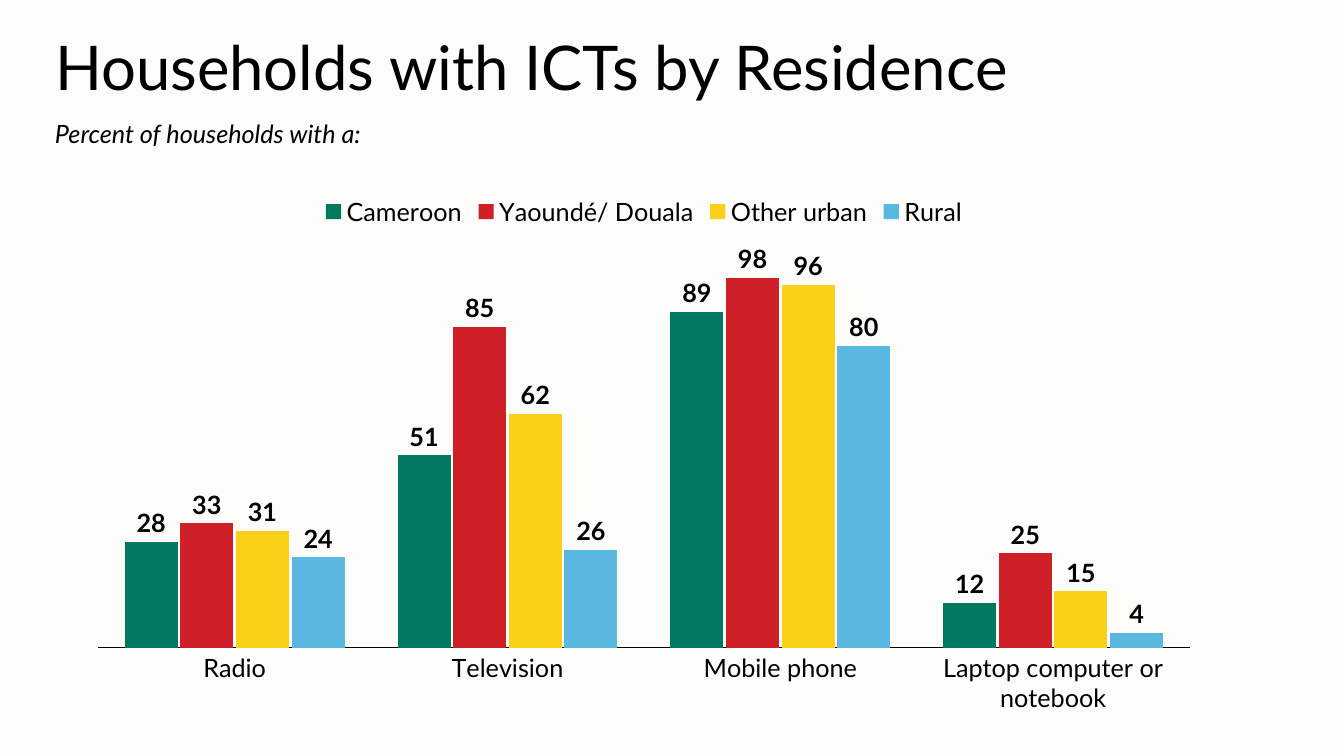
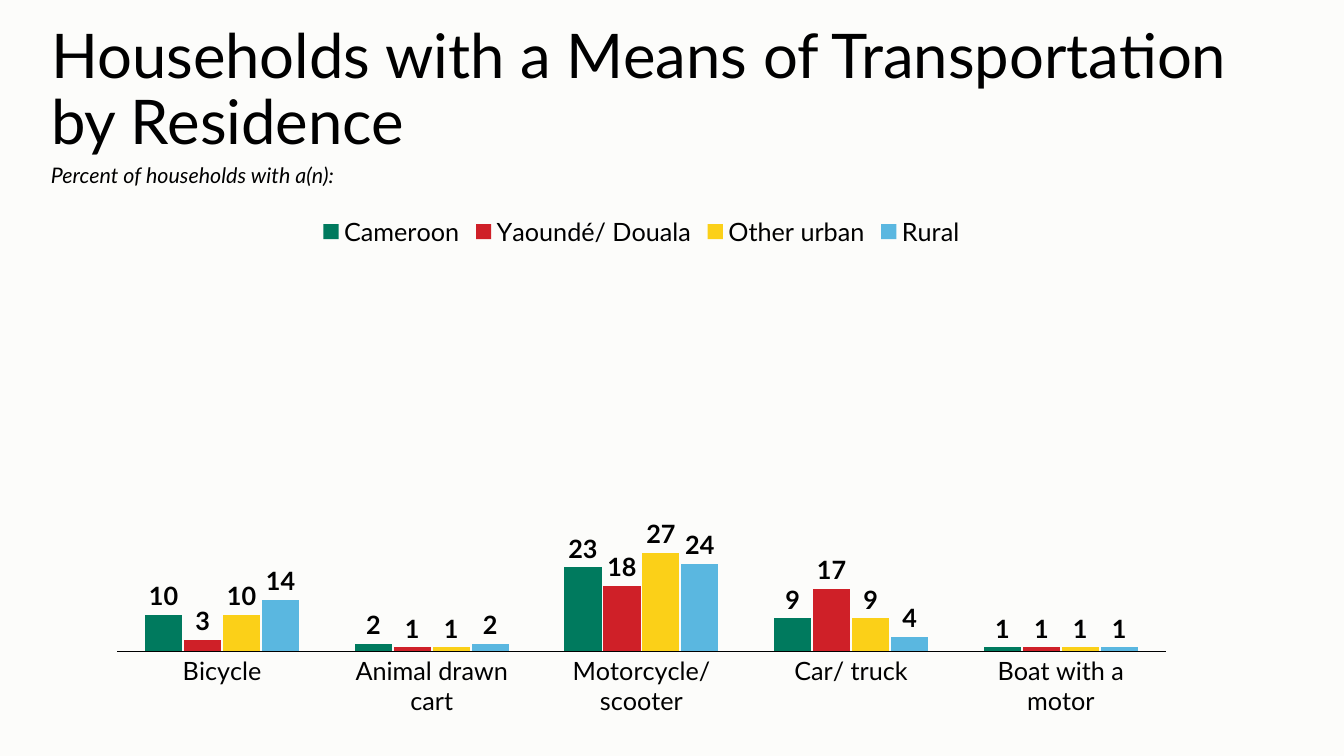
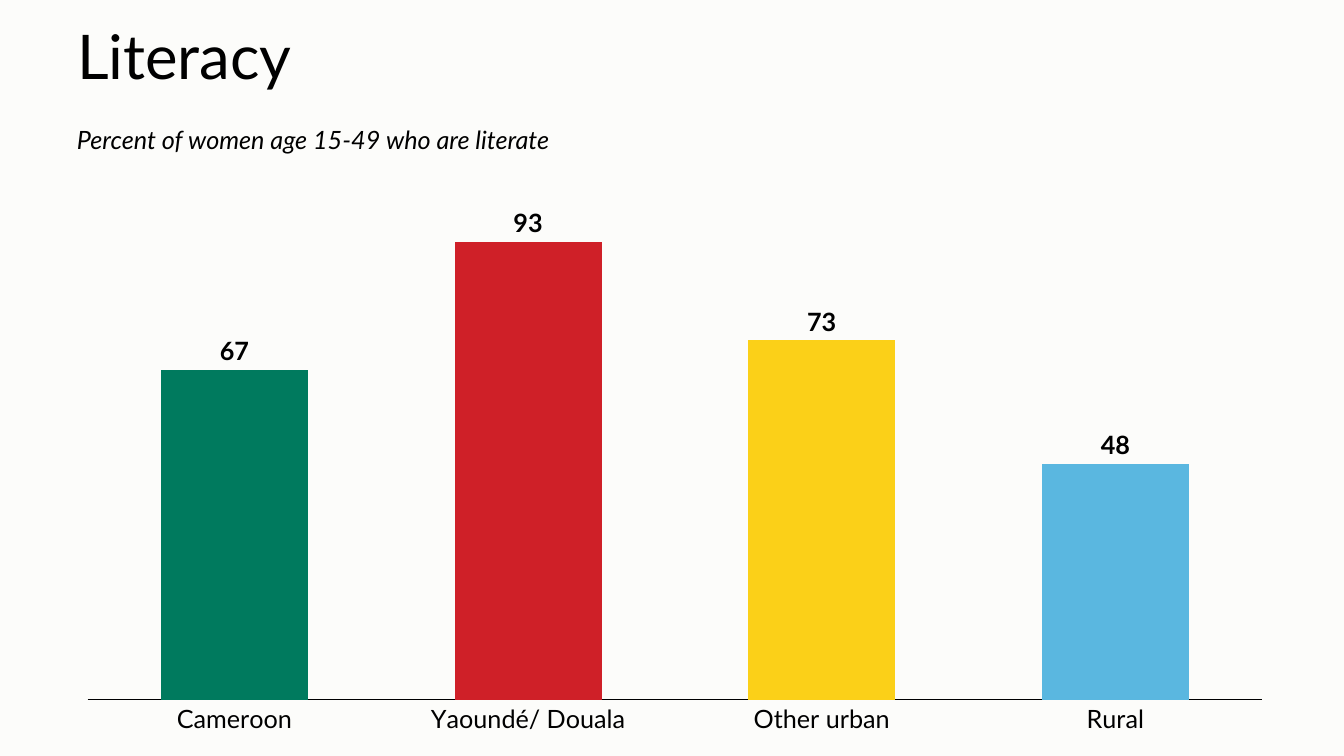
from dataclasses import dataclass

from lxml import etree
from pptx import Presentation
from pptx.chart.data import CategoryChartData
from pptx.dml.color import RGBColor
from pptx.enum.chart import XL_CHART_TYPE, XL_LABEL_POSITION, XL_LEGEND_POSITION, XL_TICK_MARK
from pptx.enum.text import MSO_ANCHOR, MSO_AUTO_SIZE, PP_ALIGN
from pptx.oxml.ns import qn
from pptx.util import Emu, Pt

COLUMN = XL_CHART_TYPE.COLUMN_CLUSTERED
OUTSIDE_END = XL_LABEL_POSITION.OUTSIDE_END
LEGEND_TOP = XL_LEGEND_POSITION.TOP
NO_TICK = XL_TICK_MARK.NONE
MIDDLE, TOP = MSO_ANCHOR.MIDDLE, MSO_ANCHOR.TOP
NO_FIT = MSO_AUTO_SIZE.NONE
LEFT = PP_ALIGN.LEFT

EMU_PER_PX = 914400 / 100.8
TITLE_ONLY = 5


@dataclass(frozen=True)
class Theme:
    font: str = "Lato"
    ink: str = "000000"
    paper: str = "FCFCFA"
    residence: tuple = ("007A5E", "CF2028", "FBD018", "5AB7E0")
    title: float = 44
    body: float = 18
    small: float = 15.3
    axis_line: float = 0.75


THEME = Theme()
RESIDENCE = ("Cameroon", "Yaoundé/ Douala", "Other urban", "Rural")
GROUPED_PLOT = (0.023, 0.162, 0.954, 0.712)
SINGLE_PLOT = (0.017, 0.053, 0.966, 0.85)


def px(n):
    return Emu(round(n * EMU_PER_PX))


def rgb(color):
    return RGBColor.from_string(color)


def set_attrs(obj, **values):
    for name, value in values.items():
        setattr(obj, name, value)


def set_font(font, size, **values):
    set_attrs(font, name=THEME.font, size=Pt(size), **values)
    font.color.rgb = rgb(THEME.ink)


def fill(fmt, color):
    fmt.fill.solid()
    fmt.fill.fore_color.rgb = rgb(color)


def write(sp, text, size, anchor, spacing, **font):
    tf = sp.text_frame
    set_attrs(tf, word_wrap=True, auto_size=NO_FIT, vertical_anchor=anchor)
    p = tf.paragraphs[0]
    set_attrs(p, alignment=LEFT, line_spacing=spacing)
    r = p.add_run()
    r.text = text
    set_font(r.font, size, **font)


def add_title(s, box, text):
    sp = s.shapes.title
    set_attrs(sp, **dict(zip(("left", "top", "width", "height"), map(px, box))))
    write(sp, text, THEME.title, MIDDLE, 0.9)


def add_subtitle(s, box, text, size=THEME.body, spacing=0.9):
    sp = s.shapes.add_textbox(*map(px, box))
    write(sp, text, size, TOP, spacing, italic=True)


def place_plot(chart, plot_box):
    area = chart.element.xpath(".//c:plotArea")[0]
    for old in area.findall(qn("c:layout")):
        area.remove(old)
    layout = etree.Element(qn("c:layout"))
    manual = etree.SubElement(layout, qn("c:manualLayout"))
    values = dict(layoutTarget="inner", xMode="edge", yMode="edge")
    values.update(zip("xywh", plot_box))
    for tag, value in values.items():
        etree.SubElement(manual, qn("c:" + tag)).set("val", str(value))
    area.insert(0, layout)


def add_columns(s, box, categories, series, plot_box, gap=100, overlap=0):
    data = CategoryChartData(number_format="0")
    data.categories = categories
    for name, values in series:
        data.add_series(name, values)
    chart = s.shapes.add_chart(COLUMN, *map(px, box), data).chart
    grouped = len(series) > 1
    set_attrs(chart, has_title=False, has_legend=grouped)
    set_font(chart.font, THEME.body)
    if grouped:
        set_attrs(chart.legend, position=LEGEND_TOP, include_in_layout=False)
        set_font(chart.legend.font, THEME.body)

    axis = chart.category_axis
    set_attrs(axis, major_tick_mark=NO_TICK, minor_tick_mark=NO_TICK)
    set_font(axis.tick_labels.font, THEME.body)
    line = axis.format.line
    line.color.rgb = rgb(THEME.ink)
    line.width = Pt(THEME.axis_line)
    set_attrs(chart.value_axis, visible=False, has_major_gridlines=False,
              minimum_scale=0, maximum_scale=100)

    plot = chart.plots[0]
    set_attrs(plot, gap_width=gap, overlap=overlap, vary_by_categories=False,
              has_data_labels=True)
    set_attrs(plot.data_labels, show_value=True, position=OUTSIDE_END)
    set_font(plot.data_labels.font, THEME.body, bold=True)
    for i, color in enumerate(THEME.residence):
        bars = plot.series[i] if grouped else plot.series[0].points[i]
        fill(bars.format, color)
    place_plot(chart, plot_box)


def new_slide(prs):
    return prs.slides.add_slide(prs.slide_layouts[TITLE_ONLY])


def ict_slide(prs):
    s = new_slide(prs)
    add_title(s, (45, 14, 1253, 114), "Households with ICTs by Residence")
    add_subtitle(s, (45, 117, 869, 46), "Percent of households with a:")
    values = ((28, 51, 89, 12), (33, 85, 98, 25), (31, 62, 96, 15), (24, 26, 80, 4))
    add_columns(s, (72, 184, 1144, 531),
                ("Radio", "Television", "Mobile phone", "Laptop computer or notebook"),
                tuple(zip(RESIDENCE, values)), GROUPED_PLOT, overlap=-5)


def transport_slide(prs):
    s = new_slide(prs)
    add_title(s, (41, 40, 1197, 103), "Households with a Means of Transportation by Residence")
    add_subtitle(s, (41, 164, 884, 30), "Percent of households with a(n):", THEME.small, 0.7)
    values = ((10, 2, 23, 9, 1), (3, 1, 18, 17, 1), (10, 1, 27, 9, 1), (14, 2, 24, 4, 1))
    add_columns(s, (92, 204, 1099, 512),
                ("Bicycle", "Animal drawn cart", "Motorcycle/ scooter", "Car/ truck",
                 "Boat with a motor"),
                tuple(zip(RESIDENCE, values)), GROUPED_PLOT, gap=150, overlap=-5)


def literacy_slide(prs):
    s = new_slide(prs)
    add_title(s, (67, 0, 1216, 119), "Literacy")
    add_columns(s, (67, 177, 1216, 579), RESIDENCE,
                (("Series 1", (67, 93, 73, 48)),), SINGLE_PLOT)
    add_subtitle(s, (67, 119, 1216, 40), "Percent of women age 15-49 who are literate",
                 spacing=1.0)


def main():
    prs = Presentation()
    set_attrs(prs, slide_width=px(1344), slide_height=px(756))
    fill(prs.slide_master.background, THEME.paper)
    for build in (ict_slide, transport_slide, literacy_slide):
        build(prs)
    prs.save("out.pptx")


if __name__ == "__main__":
    main()
